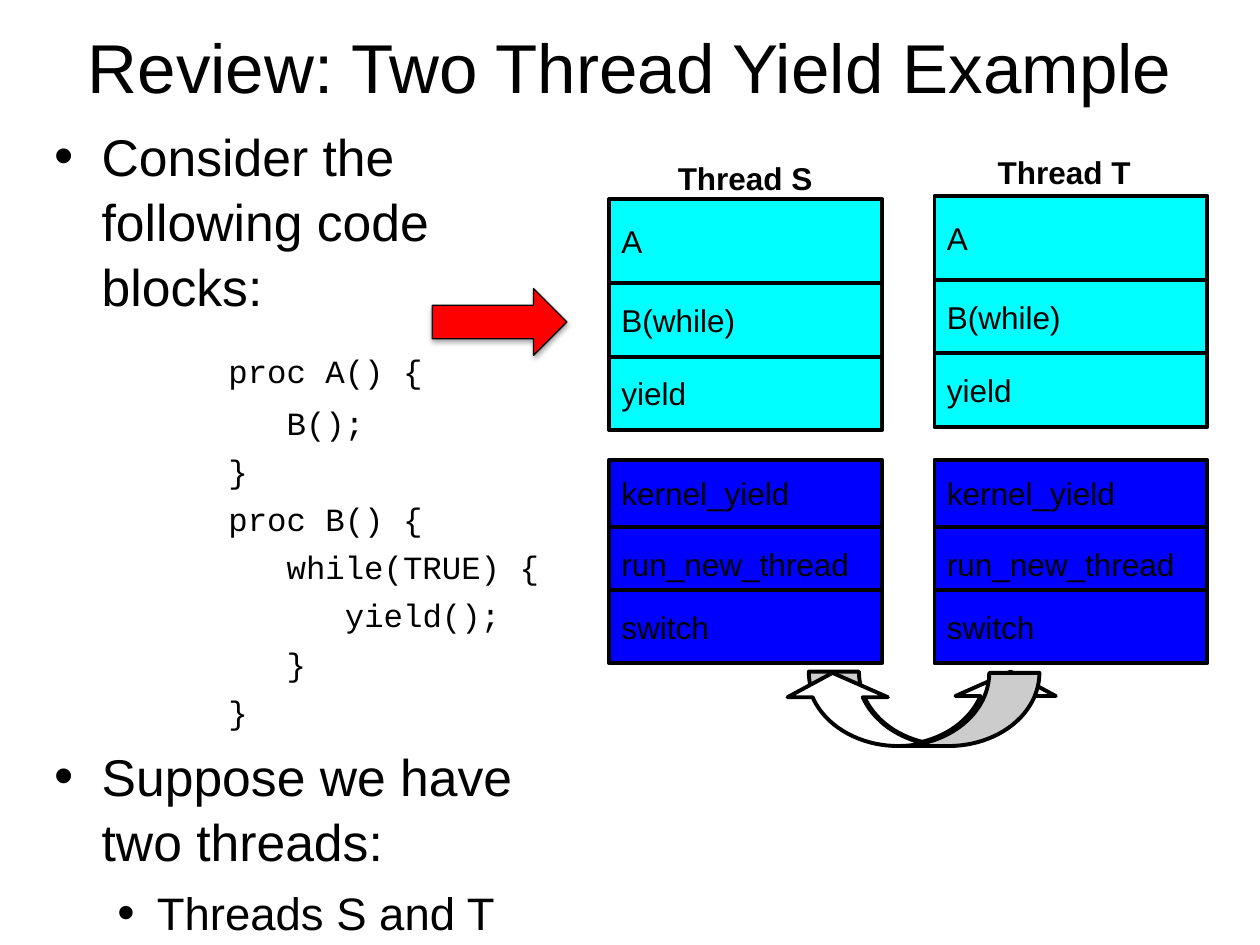
from lxml.etree import SubElement
from pptx import Presentation
from pptx.dml.color import RGBColor
from pptx.enum.shapes import MSO_SHAPE
from pptx.enum.text import MSO_ANCHOR, PP_ALIGN
from pptx.oxml.ns import qn
from pptx.util import Pt

BLACK = RGBColor(0, 0, 0)
WHITE = RGBColor(255, 255, 255)
CYAN = RGBColor(0, 255, 255)
BLUE = RGBColor(0, 0, 255)
RED = RGBColor(255, 0, 0)

deck = Presentation()
deck.slide_width, deck.slide_height = Pt(720), Pt(540)
slide = deck.slides.add_slide(deck.slide_layouts[6])


def write(para, text, size, font="Arial", **form):
    run = para.add_run()
    run.text = text
    run.font.color.rgb = BLACK
    for key, val in {"size": Pt(size), "name": font, **form}.items():
        setattr(run.font, key, val)


def draw(home, kind, box, fill, width=2.25):
    shape = home.add_shape(kind, *map(Pt, box))
    shape.shadow.inherit = False
    shape.fill.solid()
    shape.fill.fore_color.rgb = fill
    shape.line.color.rgb = BLACK
    shape.line.width = Pt(width)
    return shape


# Title
title = slide.shapes.add_textbox(Pt(36), Pt(-7.2), Pt(648), Pt(90)).text_frame
title.word_wrap = True
title.vertical_anchor = MSO_ANCHOR.MIDDLE
title.paragraphs[0].alignment = PP_ALIGN.CENTER
write(title.paragraphs[0], "Review: Two Thread Yield Example", 39.5)

# Bullets and code: text, size, left edge, hanging indent, space before, bullet percent
CODE, STEP = 99.4, 33.3
lines = [("Consider the following code blocks:", 29.5, 27, 27, 0, 106)]
for text, depth, gap in [
    ("proc A() {", 0, 18.4), ("B();", 1, 6.4), ("}", 0, 4.2),
    ("proc B() {", 0, 4.2), ("while(TRUE) {", 1, 4.2),
    ("yield();", 2, 4.2), ("}", 1, 4.2), ("}", 0, 4.2),
]:
    lines.append((text, 18.5, CODE + depth * STEP, 0, gap, None))
lines += [
    ("Suppose we have two threads:", 29.5, 27, 27, 6.4, 106),
    ("Threads S and T", 26, 58.5, 22.5, 5.6, 109),
]

body = slide.shapes.add_textbox(Pt(24), Pt(66), Pt(300), Pt(432)).text_frame
body.word_wrap = True
for num, (text, size, left, hang, gap, dot) in enumerate(lines):
    para = body.add_paragraph() if num else body.paragraphs[0]
    for key, val in {"space_before": Pt(gap), "line_spacing": 1.05}.items():
        setattr(para, key, val)
    props = para._p.get_or_add_pPr()
    props.set("marL", str(Pt(left)))
    props.set("indent", str(-Pt(hang)))
    if dot:
        para.level = int(left > 27)
        tint = SubElement(props, qn("a:buClr"))
        SubElement(tint, qn("a:srgbClr"), val=str(BLACK))
        SubElement(props, qn("a:buSzPct"), val=str(dot * 1000))
        SubElement(props, qn("a:buFont"), typeface="Arial")
        SubElement(props, qn("a:buChar"), char="•")
    write(para, text, size, "Courier New" if dot is None else "Arial")

# Arrow from T to S, behind the stacks
curves = [(462.2, 383.8, 144, 41.8, False), (447.1, 384.5, 146.9, 41.8, True)]


def bend(left, top, wide, high, flip):
    arrow = draw(slide.shapes, MSO_SHAPE.CURVED_UP_ARROW, (left, top, wide, high), WHITE)
    for num, val in enumerate((0.686, 1.371, 0.333)):
        arrow.adjustments[num] = val
    if flip:
        arrow.element.spPr.xfrm.set("flipH", "1")


bend(*curves[0])

# Thread stacks: name, left, label left, label top, top of user frames
for name, left, tag, high, top in [
    ("Thread S", 348, 380.2, 87.1, 113.8),
    ("Thread T", 534, 563, 84.2, 112),
]:
    stack = slide.shapes.add_group_shape().shapes
    label = stack.add_textbox(Pt(tag), Pt(high), Pt(92.2), Pt(28.8)).text_frame
    write(label.paragraphs[0], name, 18, bold=True)
    for text, start, tall, fill in [
        ("A", top, 48, CYAN),
        ("B(while)", top + 48, 42, CYAN),
        ("yield", top + 90, 42, CYAN),
        ("run_new_thread", 301, 42, BLUE),
        ("switch", 337, 42, BLUE),
        ("kernel_yield", 262.8, 38.2, BLUE),
    ]:
        frame = draw(stack, MSO_SHAPE.RECTANGLE, (left, start, 156, tall), fill).text_frame
        frame.vertical_anchor = MSO_ANCHOR.MIDDLE
        frame.paragraphs[0].alignment = PP_ALIGN.LEFT
        write(frame.paragraphs[0], text, 18)

# Arrow from S to T
bend(*curves[1])

# Red pointer with a soft shadow
point = draw(slide.shapes, MSO_SHAPE.RIGHT_ARROW, (247, 164.9, 77, 38.2), RED, 0.75)
soft = SubElement(
    point.element.spPr.find(qn("a:effectLst")), qn("a:outerShdw"),
    blurRad=str(Pt(3.1)), dist=str(Pt(1.8)), dir="5400000", rotWithShape="0",
)
shade = SubElement(soft, qn("a:srgbClr"), val=str(BLACK))
SubElement(shade, qn("a:alpha"), val="35000")

deck.save("out.pptx")
